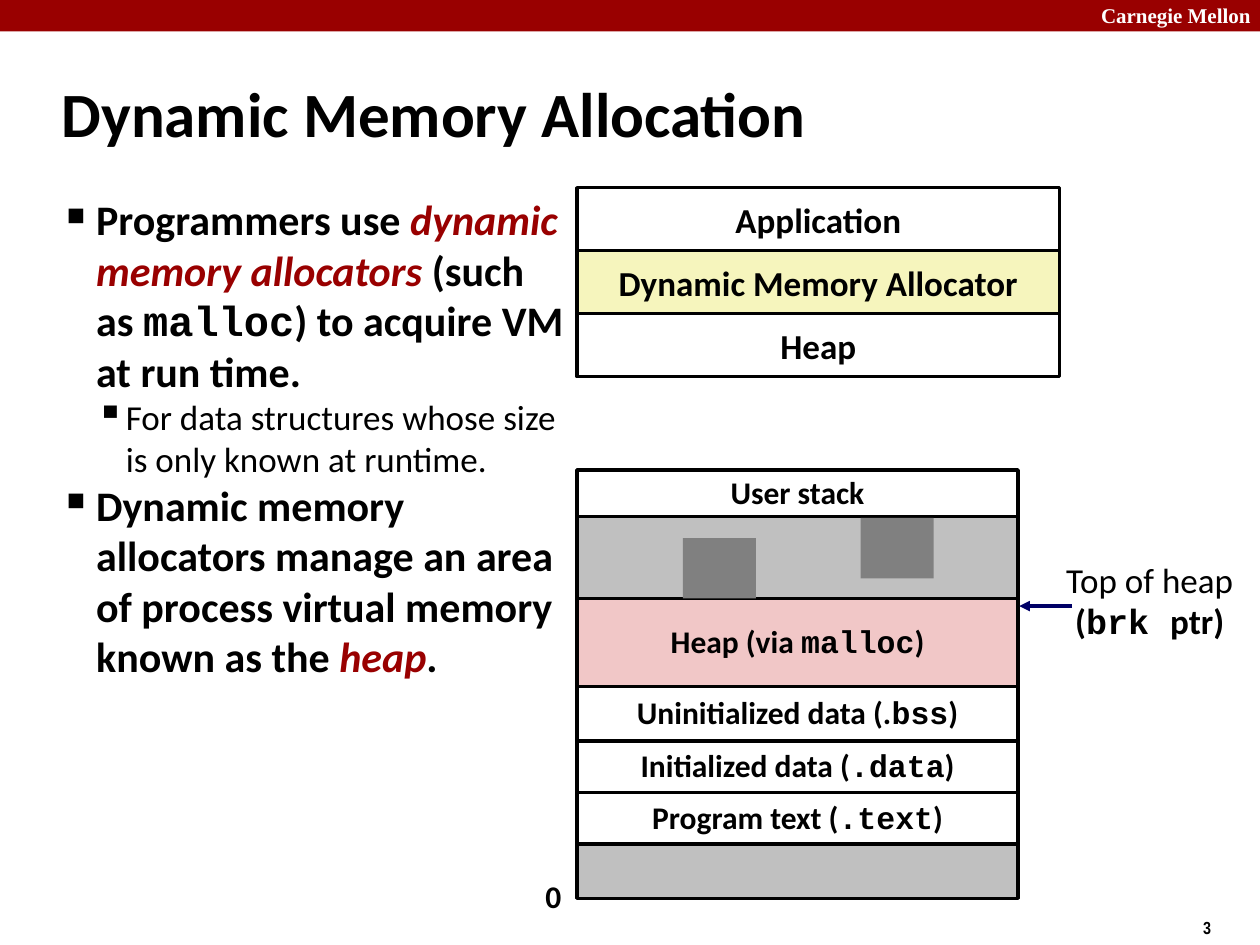
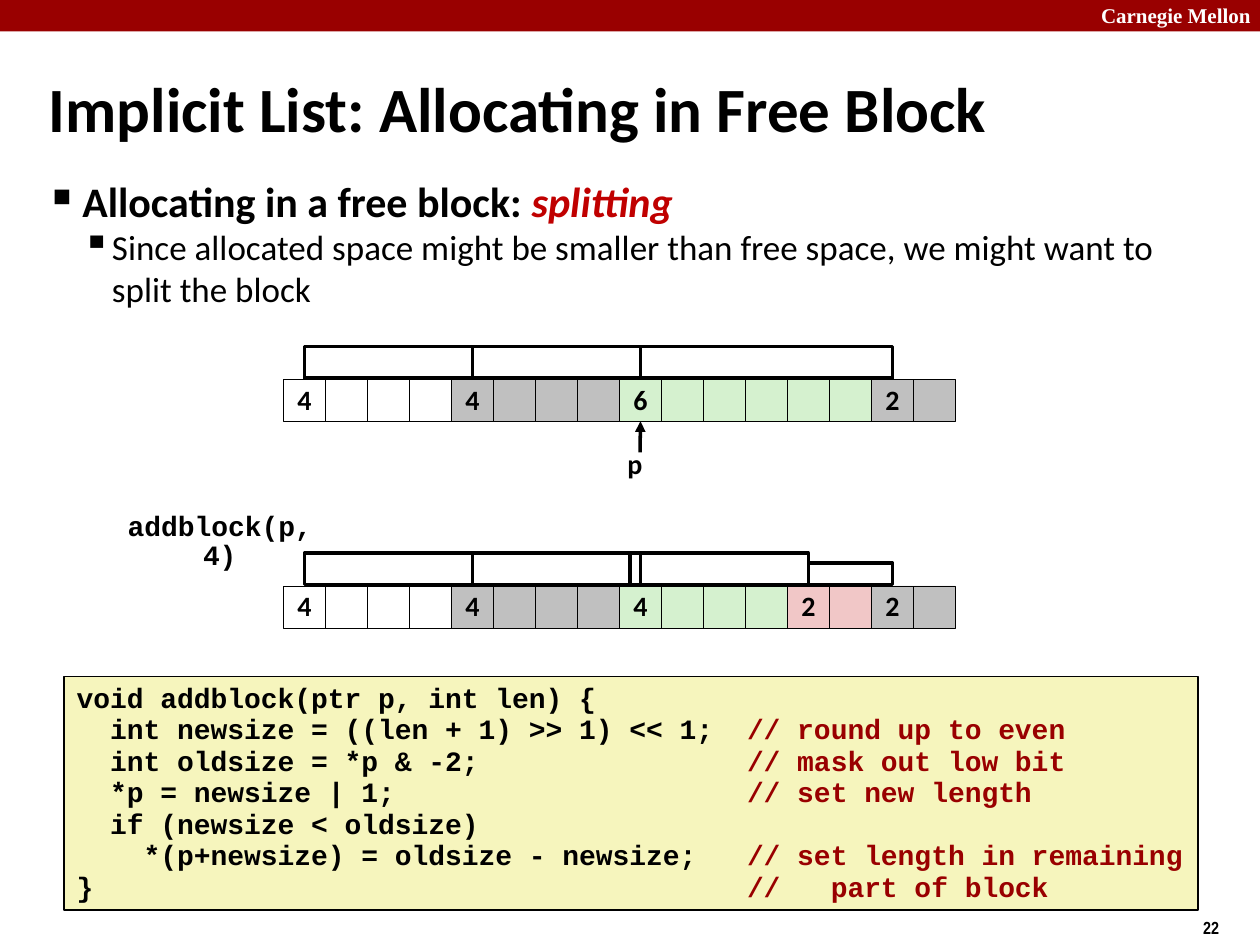
from lxml.etree import SubElement
from pptx import Presentation
from pptx.dml.color import RGBColor
from pptx.enum.shapes import MSO_CONNECTOR, MSO_SHAPE
from pptx.enum.text import MSO_ANCHOR, PP_ALIGN
from pptx.oxml.ns import qn
from pptx.util import Inches, Pt

BLACK = RGBColor(0x00, 0x00, 0x00)
WHITE = RGBColor(0xFF, 0xFF, 0xFF)
RED = RGBColor(0x99, 0x00, 0x00)
SCARLET = RGBColor(0xC0, 0x00, 0x00)
NAVY = RGBColor(0x00, 0x00, 0x66)
YELLOW = RGBColor(0xF6, 0xF5, 0xBD)
PINK = RGBColor(0xF1, 0xC7, 0xC7)
GREEN = RGBColor(0xD5, 0xF1, 0xCF)
SILVER = RGBColor(0xC0, 0xC0, 0xC0)
GRAY = RGBColor(0x80, 0x80, 0x80)

SANS = "Calibri"
MONO = "Courier New"
CODE = {"font": MONO}
NOTE = {"font": MONO, "color": RED}
PLAIN = {"bold": False}
KEY = {"color": RED, "italic": True}
HOT = {"color": SCARLET, "italic": True}

CELL = 1 / 3
BULLETS = [("■", 60, 24), ("▪", 110, 20)]
STEP = 0.235


def add_run(par, text, size, font=SANS, color=BLACK, bold=True, italic=False):
    run = par.add_run()
    run.text = text
    run.font.size = Pt(size)
    run.font.name = font
    run.font.color.rgb = color
    run.font.bold = bold
    run.font.italic = italic


def write(shape, lines, size, align=PP_ALIGN.LEFT, anchor=MSO_ANCHOR.TOP,
          space=1.0, wrap=False):
    frame = shape.text_frame
    frame.word_wrap = wrap
    frame.vertical_anchor = anchor
    for i, runs in enumerate(lines):
        par = frame.paragraphs[0] if i == 0 else frame.add_paragraph()
        par.alignment = align
        par.line_spacing = space
        for text, style in runs:
            add_run(par, text, size, **style)


def add_text(slide, box, lines, size, **how):
    shape = slide.shapes.add_textbox(*map(Inches, box))
    write(shape, lines, size, **how)
    return shape


def add_rect(slide, box, fill=None, line=None):
    shape = slide.shapes.add_shape(MSO_SHAPE.RECTANGLE, *map(Inches, box))
    shape.shadow.inherit = False
    if fill is None:
        shape.fill.background()
    else:
        shape.fill.solid()
        shape.fill.fore_color.rgb = fill
    if line is None:
        shape.line.fill.background()
    else:
        shape.line.color.rgb = BLACK
        shape.line.width = Pt(line)
    return shape


def add_block(slide, box, runs, size, fill, line, space=1.0):
    shape = add_rect(slide, box, fill, line)
    if runs:
        write(shape, [runs], size, align=PP_ALIGN.CENTER,
              anchor=MSO_ANCHOR.MIDDLE, space=space)
    return shape


def add_arrow(slide, start, end, color):
    points = map(Inches, (*start, *end))
    arrow = slide.shapes.add_connector(MSO_CONNECTOR.STRAIGHT, *points)
    arrow.line.color.rgb = color
    arrow.line.width = Pt(2)
    SubElement(arrow.line._get_or_add_ln(), qn("a:tailEnd"), type="triangle")
    SubElement(arrow._element.spPr, qn("a:effectLst"))
    return arrow


def add_base(deck, title, box, number):
    slide = deck.slides.add_slide(deck.slide_layouts[6])
    add_rect(slide, (0, 0, 10, 0.25), RED)
    brand = {"font": "Times New Roman", "color": WHITE}
    add_text(slide, (8.64, -0.03, 1.43, 0.3), [[("Carnegie Mellon", brand)]], 12)
    add_text(slide, (9.45, 7.23, 0.75, 0.27),
             [[(number, {"font": "Arial Narrow"})]], 10)
    add_text(slide, box, [[(title, {})]], 36, anchor=MSO_ANCHOR.MIDDLE, wrap=True)
    return slide


def add_points(slide, box, points):
    frame = slide.shapes.add_textbox(*map(Inches, box)).text_frame
    frame.word_wrap = True
    frame.margin_right = Inches(0.08)
    for i, (level, runs) in enumerate(points):
        par = frame.paragraphs[0] if i == 0 else frame.add_paragraph()
        par.level = level
        mark, scale, size = BULLETS[level]
        props = par._p.get_or_add_pPr()
        props.set("marL", str(Inches(STEP * (level + 1))))
        props.set("indent", str(-Inches(STEP)))
        SubElement(props, qn("a:buSzPct"), val=str(scale * 1000))
        SubElement(props, qn("a:buChar"), char=mark)
        for text, style in runs:
            add_run(par, text, size, **style)


def add_layers(slide, box):
    left, top, width, height = box
    layers = [("Application", WHITE), ("Dynamic Memory Allocator", YELLOW),
              ("Heap", WHITE)]
    tall = height / len(layers)
    for i, (name, fill) in enumerate(layers):
        add_block(slide, (left, top + i * tall, width, tall),
                  [(name, {})], 20, fill, 2)


def add_stack(slide, box):
    left, top, width, height = box
    areas = [
        (0.37, WHITE, [("User stack", {})]),
        (0.65, SILVER, []),
        (0.70, PINK, [("Heap (via ", {}), ("malloc", CODE), (")", {})]),
        (0.43, WHITE, [("Uninitialized data (.", {}), ("bss", CODE), (")", {})]),
        (0.41, WHITE, [("Initialized data (", {}), (".data", CODE), (")", {})]),
        (0.41, WHITE, [("Program text (", {}), (".text", CODE), (")", {})]),
        (0.43, SILVER, []),
    ]
    y = top
    for tall, fill, runs in areas:
        add_block(slide, (left, y, width, tall), runs, 18, fill, 2, 0.98)
        y += tall
    for x, drop in [(2.25, 0.38), (0.84, 0.54)]:
        add_rect(slide, (left + x, top + drop, 0.58, 0.48), GRAY)
    add_text(slide, (left - 0.35, top + height - 0.2, 0.37, 0.4),
             [[("0", {})]], 18, space=0.98)
    label = [[("Top of heap", PLAIN)],
             [("(", {}), ("brk ", CODE), ("ptr)", {})]]
    add_text(slide, (left + 3.64, top + 0.67, 1.81, 0.76), label, 20,
             align=PP_ALIGN.CENTER, space=0.98)
    y = top + 1.08
    add_arrow(slide, (left + width + 0.43, y), (left + width + 0.01, y), NAVY)


def add_words(slide, left, top, groups, links):
    heads = []
    x = left
    for count, fill in groups:
        for i in range(count):
            runs = [(str(count), {})] if i == 0 else []
            cell = add_block(slide, (x, top, CELL, CELL), runs, 16, fill, 0.25, 0.98)
            if i == 0:
                heads.append(cell)
            x += CELL
    for start, span, tall in links:
        add_rect(slide, (left + (start + 0.5) * CELL, top - 0.01 - tall,
                         span * CELL, tall), line=2)
    return heads


def add_code(slide, box):
    rows = [
        ("void addblock(ptr p, int len) {", ""),
        ("  int newsize = ((len + 1) >> 1) << 1;", "// round up to even"),
        ("  int oldsize = *p & -2;", "// mask out low bit"),
        ("  *p = newsize | 1;", "// set new length"),
        ("  if (newsize < oldsize)", ""),
        ("    *(p+newsize) = oldsize - newsize;", "// set length in remaining"),
        ("}", "//   part of block"),
    ]
    lines = [[(code.ljust(40), CODE), (note, NOTE)] if note else [(code, CODE)]
             for code, note in rows]
    write(add_rect(slide, box, YELLOW, 1), lines, 16, space=0.94)


def add_memory(deck):
    slide = add_base(deck, "Dynamic Memory Allocation", (0.39, 0.48, 8.3, 0.83), "3")
    add_points(slide, (0.43, 1.49, 4.14, 5.44), [
        (0, [("Programmers use ", {}), ("dynamic memory allocators ", KEY),
             ("(such as ", {}), ("malloc", CODE),
             (") to acquire VM at run time.", {})]),
        (1, [("For data structures whose size is only known at runtime.", PLAIN)]),
        (0, [("Dynamic memory allocators manage an area of process virtual "
              "memory known as the ", {}), ("heap", KEY), (".", {})]),
    ])
    add_stack(slide, (4.58, 3.73, 3.5, 3.4))
    add_layers(slide, (4.58, 1.49, 3.83, 1.5))


def add_split(deck):
    slide = add_base(deck, "Implicit List: Allocating in Free Block",
                     (0.29, 0.54, 9.42, 0.63), "22")
    add_points(slide, (0.32, 1.34, 9.08, 1.3), [
        (0, [("Allocating in a free block: ", {}), ("splitting", HOT)]),
        (1, [("Since allocated space might be smaller than free space, "
              "we might want to split the block", PLAIN)]),
    ])
    shared = [(4, WHITE), (4, SILVER)]
    links = [(0, 4, 0.25), (4, 4, 0.25)]
    heads = add_words(slide, 2.25, 3.01, shared + [(6, GREEN), (2, SILVER)],
                      links + [(8, 6, 0.25)])
    arrow = add_arrow(slide, (5.08, 3.59), (5.08, 3.34), BLACK)
    arrow.end_connect(heads[2], 2)
    add_text(slide, (4.88, 3.51, 0.35, 0.36), [[("p", {})]], 16, space=0.98)
    add_text(slide, (0.76, 4.03, 1.97, 0.33), [[("addblock(p, 4)", CODE)]], 16,
             align=PP_ALIGN.CENTER, space=0.85)
    add_words(slide, 2.25, 4.65,
              shared + [(4, GREEN), (2, PINK), (2, SILVER)],
              links + [(7.75, 4.25, 0.25), (12, 2, 0.17)])
    add_code(slide, (0.51, 5.37, 9, 1.85))


def main():
    deck = Presentation()
    deck.slide_width = Inches(10)
    deck.slide_height = Inches(7.5)
    add_memory(deck)
    add_split(deck)
    deck.save("out.pptx")


if __name__ == "__main__":
    main()
